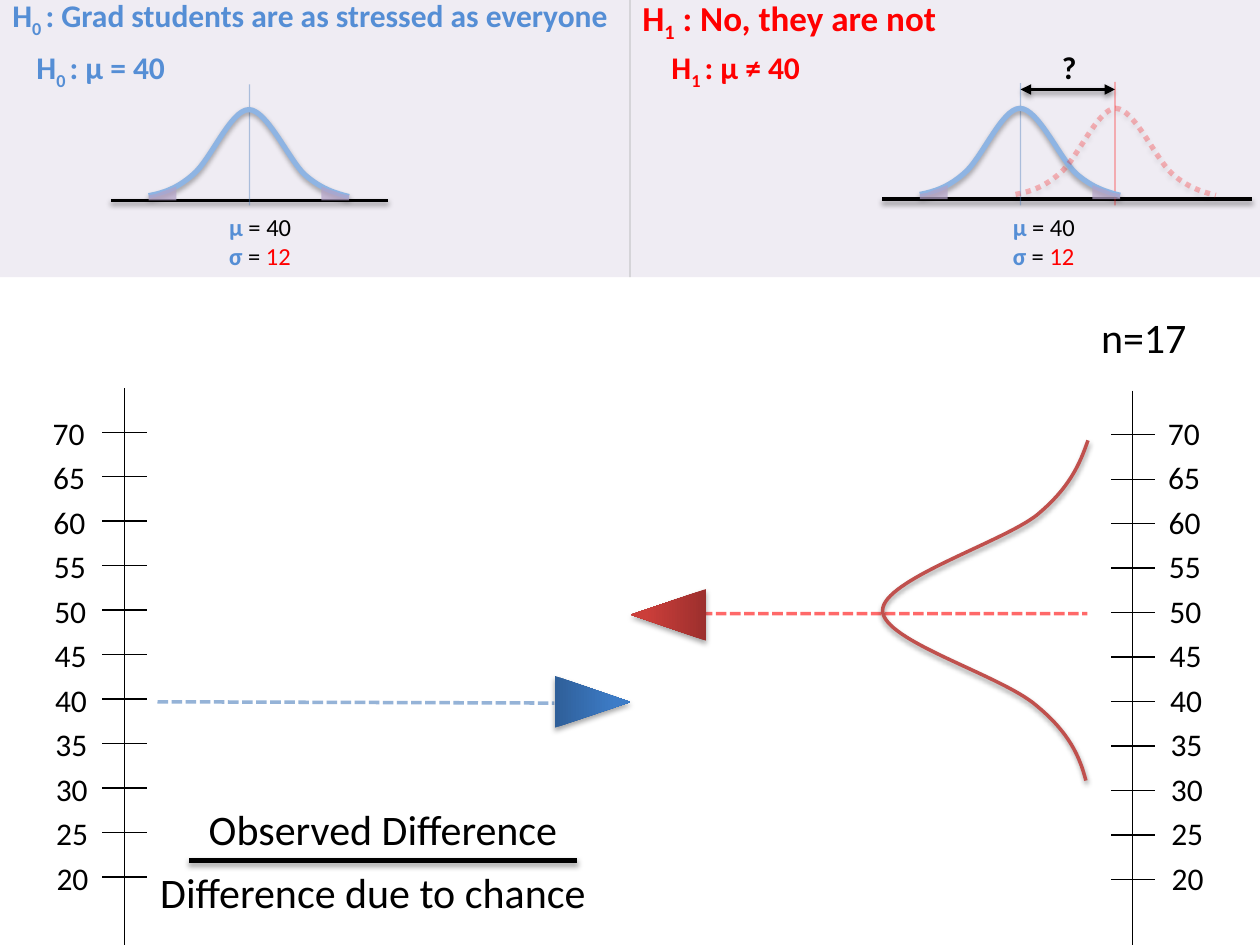
from pptx import Presentation
from pptx.dml.color import RGBColor
from pptx.enum.dml import MSO_LINE
from pptx.enum.shapes import MSO_CONNECTOR, MSO_SHAPE
from pptx.enum.text import MSO_ANCHOR, PP_ALIGN
from pptx.oxml.ns import qn
from pptx.util import Inches, Pt
from lxml import etree

STRAIGHT = MSO_CONNECTOR.STRAIGHT
RECT, WEDGE = MSO_SHAPE.RECTANGLE, MSO_SHAPE.ISOSCELES_TRIANGLE
DASH, DOT = MSO_LINE.SQUARE_DOT, MSO_LINE.ROUND_DOT
LEFT, MID, RIGHT = PP_ALIGN.LEFT, PP_ALIGN.CENTER, PP_ALIGN.RIGHT
TOP, CENTER = MSO_ANCHOR.TOP, MSO_ANCHOR.MIDDLE
COLORS = {
    "black": "000000", "red": "FF0000", "blue": "558ED5", "sky": "8EB4E3",
    "steel": "4B7EBC", "brick": "C0504D", "lilac": "B3A2C7", "gray": "BFBFBF",
    "wine": "9C2F2D", "rose": "CB3E3A", "navy": "2F5F99", "azure": "3D7CC7",
}
RGB = {name: RGBColor.from_string(code) for name, code in COLORS.items()}

prs = Presentation()
prs.slide_width, prs.slide_height = Inches(10), Inches(7.5)
slide = prs.slides.add_slide(prs.slide_layouts[6])
shapes = slide.shapes


def style(shape, fill=None, line=None, wide=0.75, dash=None, alpha=100, shade=0, heads=False):
    props = shape._element.spPr
    if fill:
        shape.fill.solid()
        shape.fill.fore_color.rgb = RGB[fill]
    elif fill is None and hasattr(shape, "fill"):
        shape.fill.background()
    if line:
        shape.line.color.rgb = RGB[line]
        shape.line.width = Pt(wide)
        if dash:
            shape.line.dash_style = dash
    else:
        shape.line.fill.background()
    if alpha < 100:
        for tone in props.iter(qn("a:srgbClr")):
            etree.SubElement(tone, qn("a:alpha"), val=str(alpha * 1000))
    if heads:
        for end in ("a:headEnd", "a:tailEnd"):
            etree.SubElement(shape.line._get_or_add_ln(), qn(end), type="triangle")
    effect = etree.SubElement(props, qn("a:effectLst"))
    if shade:
        cast = etree.SubElement(effect, qn("a:outerShdw"), blurRad=str(Pt(3.1)),
                                dist=str(Pt(1.8)), dir="5400000", rotWithShape="0")
        tone = etree.SubElement(cast, qn("a:srgbClr"), val=COLORS["black"])
        etree.SubElement(tone, qn("a:alpha"), val=str(shade * 1000))


def write(box, paras, size, align=LEFT, anchor=TOP, wrap=True):
    frame = shapes.add_textbox(*map(Inches, box)).text_frame
    frame.word_wrap, frame.vertical_anchor = wrap, anchor
    for i, runs in enumerate(paras):
        para = frame.add_paragraph() if i else frame.paragraphs[0]
        para.alignment = align
        for text, color, bold, base in runs:
            run = para.add_run()
            run.text = text
            look = {"name": "Calibri", "size": Pt(size), "bold": bold}
            for key, value in look.items():
                setattr(run.font, key, value)
            run.font.color.rgb = RGB[color]
            if base:
                run._r.get_or_add_rPr().set("baseline", str(base * 1000))


panel = shapes.add_shape(RECT, 0, 0, Inches(10), Inches(2.2))
style(panel, fill="lilac", alpha=20)

rules = [
    (5, 0, 5, 2.2, {"line": "gray", "alpha": 79}),
    (0.99, 3.08, 0.99, 7.5, {"line": "black"}),
    (8.99, 3.1, 8.99, 7.52, {"line": "black"}),
    (1.5, 6.83, 4.58, 6.83, {"line": "black", "wide": 3, "shade": 35}),
    (5.57, 4.87, 8.63, 4.87, {"line": "red", "wide": 2, "dash": DASH, "alpha": 58}),
    (1.25, 5.57, 4.4, 5.58, {"line": "steel", "wide": 2, "dash": DASH, "alpha": 58}),
    (7, 1.58, 9.94, 1.58, {"line": "black", "wide": 2, "shade": 38}),
    (0.88, 1.59, 3.08, 1.59, {"line": "black", "wide": 2, "shade": 38}),
    (8.1, 0.71, 8.85, 0.71, {"line": "black", "wide": 2, "shade": 38, "heads": True}),
    (8.1, 0.66, 8.1, 1.63, {"line": "steel", "alpha": 42}),
    (8.85, 0.65, 8.85, 1.63, {"line": "red", "alpha": 42}),
    (1.98, 0.67, 1.98, 1.63, {"line": "steel", "alpha": 42}),
]
step = 0.353
for i in range(11):
    for x, y, w in ((0.81, 3.43, 0.36), (8.82, 3.45, 0.35)):
        rules.append((x, y + step * i, x + w, y + step * i, {"line": "black"}))
for *ends, look in rules:
    style(shapes.add_connector(STRAIGHT, *map(Inches, ends)), **look)

start = (0, 0.99)
arcs = [
    ((0.07, 0.96), (0.14, 0.91), (0.22, 0.75)),
    ((0.31, 0.58), (0.41, 0), (0.5, 0)),
    ((0.59, 0), (0.7, 0.58), (0.78, 0.75)),
    ((0.86, 0.91), (0.93, 0.96), (1, 1)),
]
tail = [(0, 0.68), (0.06, 0.67), (0.11, 0.65), (0.17, 0.63), (0.22, 0.61), (0.22, 0.72), (0, 0.72)]
bells = [
    (7.3, 0.86, 1.59, 0.69, 0, True, {"line": "sky", "wide": 3, "shade": 35}),
    (8.06, 0.86, 1.59, 0.69, 0, False,
     {"line": "red", "wide": 3, "dash": DOT, "alpha": 26, "shade": 35}),
    (1.18, 0.87, 1.59, 0.69, 0, True, {"line": "sky", "wide": 3, "shade": 35}),
    (6.47, 4.03, 2.7, 1.63, 270, False, {"line": "brick", "wide": 2, "shade": 38}),
]
for x, y, w, h, turn, tails, look in bells:
    knots = [start] + [arc[-1] for arc in arcs]
    paths = [([(x + w * u, y + h * v) for u, v in knots], False, look)]
    if tails:
        shade = {"fill": "lilac", "alpha": 70}
        paths.append(([(x + u, y + v) for u, v in tail], True, shade))
        paths.append(([(x + w - u, y + v) for u, v in tail], True, shade))
    for points, close, form in paths:
        spots = [(Inches(u), Inches(v)) for u, v in points]
        pen = shapes.build_freeform(*spots[0])
        pen.add_line_segments(spots[1:], close=close)
        shape = pen.convert_to_shape()
        shape.rotation = turn
        style(shape, **form)
        if not close:
            for leg, arc in zip(list(shape._element.iter(qn("a:lnTo"))), arcs):
                bend = etree.Element(qn("a:cubicBezTo"))
                for u, v in arc:
                    etree.SubElement(bend, qn("a:pt"), x=str(Inches(w * u)), y=str(Inches(h * v)))
                leg.getparent().replace(leg, bend)

for x, y, turn, dark, light in ((5.1, 4.58, 270, "wine", "rose"), (4.5, 5.27, 90, "navy", "azure")):
    wedge = shapes.add_shape(WEDGE, *map(Inches, (x, y, 0.41, 0.6)))
    wedge.rotation = turn
    wedge.adjustments[0] = 0.505
    wedge.fill.gradient()
    wedge.fill.gradient_angle = 90
    for stop, color, place in zip(wedge.fill.gradient_stops, (dark, light), (0, 0.8)):
        stop.color.rgb, stop.position = RGB[color], place
    style(wedge, fill=False, shade=35)

write((0, -0.08, 5, 0.4), [[("H", "blue", True, 0), ("0 ", "blue", True, -25),
      (": Grad students are as stressed as everyone", "blue", True, 0)]], 18)
write((5, -0.08, 5.5, 0.44), [[("H", "red", True, 0), ("1", "red", True, -25),
      (" : No, they are not", "red", True, 0)]], 20)
for x, color, sub, claim in ((0.19, "blue", "0 ", ": µ = 40"), (5.23, "red", "1 ", ": µ ≠ 40")):
    write((x, 0.33, 1.31, 0.4), [[("H", color, True, 0), (sub, color, True, -25),
          (claim, color, True, 0)]], 18, wrap=False)
for x, w in ((7.94, 0.9), (1.72, 0.99)):
    write((x, 1.63, w, 0.57), [
        [("µ", "blue", True, 0), (" = 40", "black", False, 0)],
        [("σ", "blue", True, 0), (" = ", "black", False, 0), ("12", "red", False, 0)]], 14)

notes = [
    ((1.5, 6.33, 3.08, 0.5), "Observed Difference", 24, MID, False),
    ((1, 6.83, 3.92, 0.5), "Difference due to chance", 24, MID, False),
    ((8.25, 0.33, 0.47, 0.4), "?", 18, MID, True),
    ((8.64, 2.42, 0.94, 0.5), "n=17", 24, LEFT, False),
]
for box, text, size, align, bold in notes:
    write(box, [[(text, "black", bold, 0)]], size, align)

for x in (-0.02, 8.83):
    for i in range(11):
        write((x + 0.003 * i, 3.26 + step * i, 0.79, 0.35),
              [[(str(70 - 5 * i), "black", False, 0)]], 18, RIGHT, CENTER)

prs.save("out.pptx")
